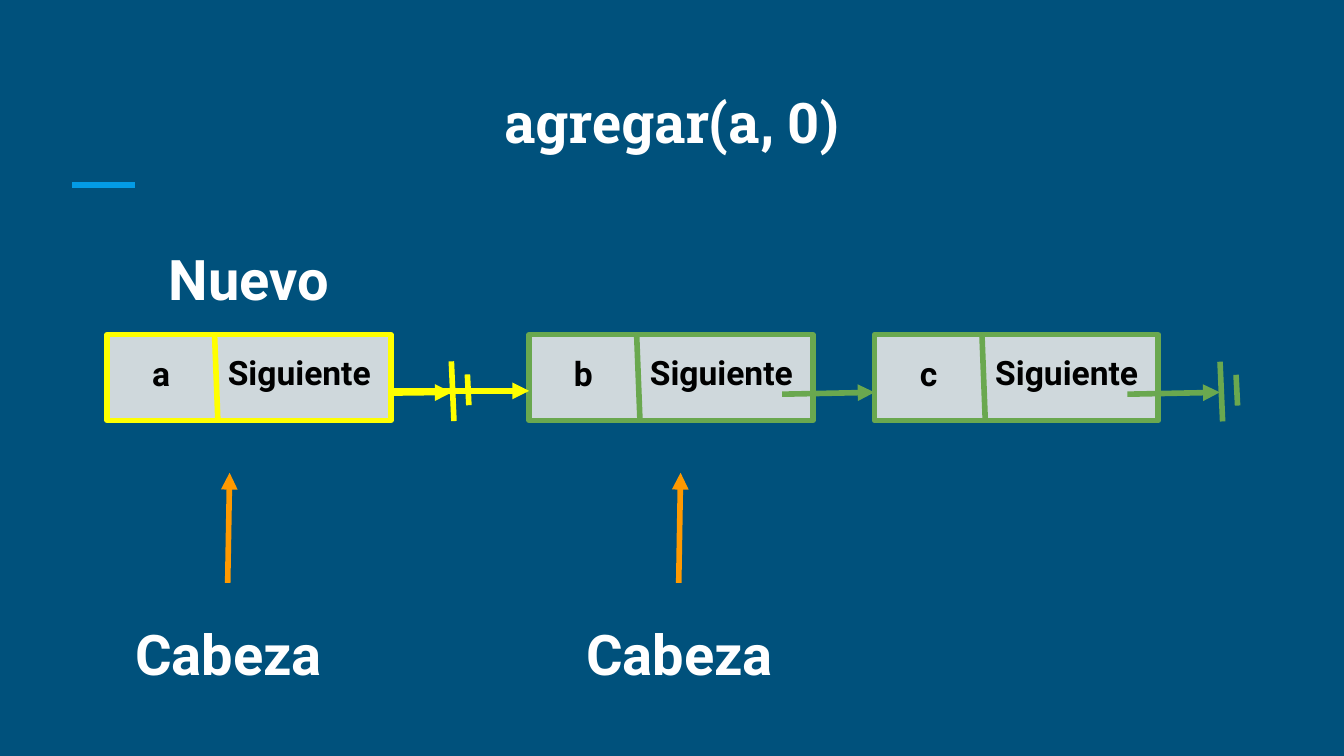
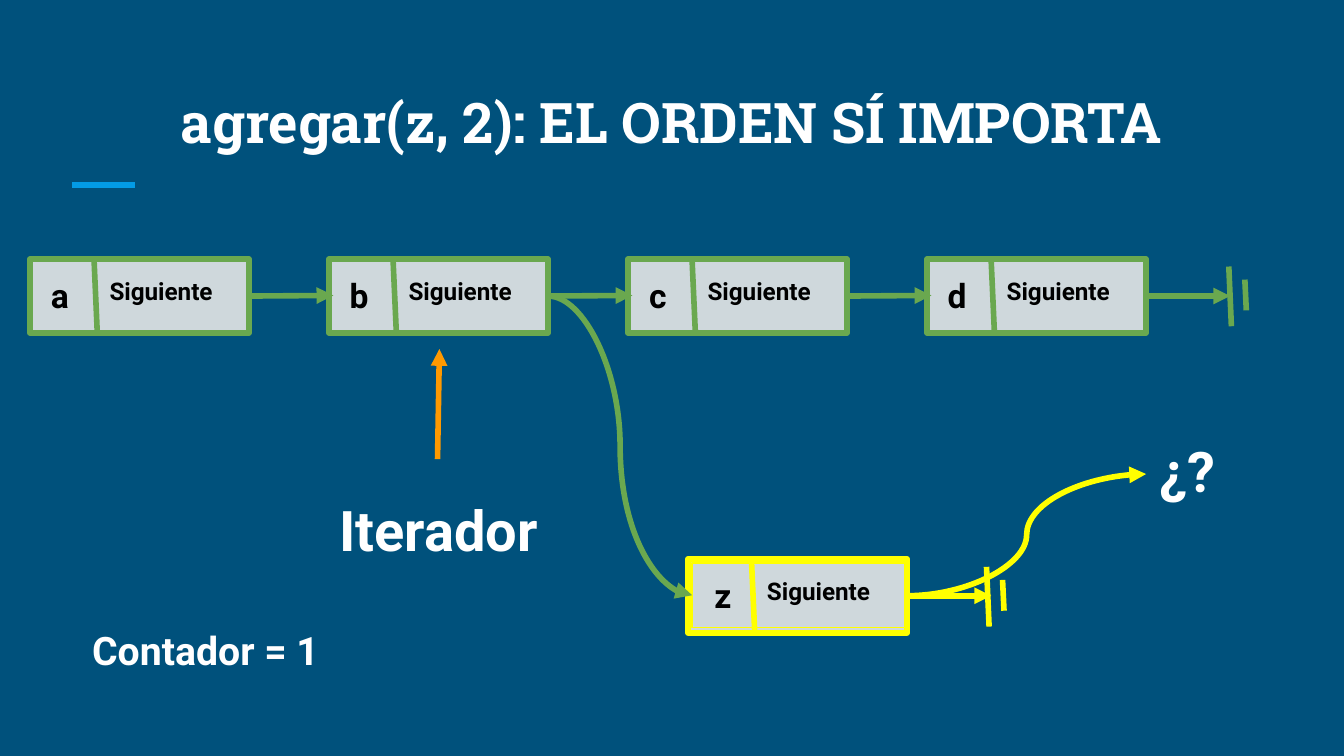
"""Build two slides on inserting nodes into a linked list."""
from dataclasses import dataclass
from typing import NamedTuple, Optional

from lxml import etree
from pptx import Presentation, util as u
from pptx.dml.color import RGBColor
from pptx.enum import shapes, text
from pptx.oxml.ns import qn

COLORS = {
    "background": "00517C",
    "accent": "039BE5",
    "white": "FFFFFF",
    "black": "000000",
    "node": "CFD8DC",
    "linked": "6AA84F",
    "new": "FFFF00",
    "pointer": "FF9900",
}
BODY, HEADING = "Roboto", "Roboto Slab"
WIDTH, HEIGHT = 720, 405
LINE_WIDTH = 3
LEFT, RIGHT = 1, 3
STRAIGHT = shapes.MSO_CONNECTOR.STRAIGHT
CURVE = shapes.MSO_CONNECTOR.CURVE
TOP, MIDDLE, BOTTOM = (text.MSO_ANCHOR.TOP, text.MSO_ANCHOR.MIDDLE,
                       text.MSO_ANCHOR.BOTTOM)
ALIGN_LEFT, CENTER = text.PP_ALIGN.LEFT, text.PP_ALIGN.CENTER


class Box(NamedTuple):
    x: float
    y: float
    w: float
    h: float


class Point(NamedTuple):
    x: float
    y: float


@dataclass(frozen=True)
class NodeStyle:
    w: float
    h: float
    value: Box
    following: Box
    divider: float
    following_size: float
    anchor: text.MSO_ANCHOR


@dataclass(frozen=True)
class Node:
    value: str
    x: float
    y: float
    color: str = "linked"
    framed: bool = False


LARGE = NodeStyle(152, 46, Box(0, 2.5, 58, 40), Box(57.6, 2.2, 93.6, 40),
                  57.6, 18, TOP)
SMALL = NodeStyle(117.4, 39.6, Box(2.4, 2.2, 27.4, 34.6),
                  Box(35.6, 2.2, 82, 34.6), 34.4, 13, MIDDLE)
SMALL_NEW = NodeStyle(117.4, 39.6, Box(2.2, 2.2, 33, 34.6),
                      Box(35.2, 2.2, 82, 34.6), 34, 13, MIDDLE)


def rgb(name: str) -> RGBColor:
    return RGBColor.from_string(COLORS[name])


def add_rect(s, box: Box):
    sp = s.shapes.add_shape(shapes.MSO_SHAPE.RECTANGLE, *map(u.Pt, box))
    sp.shadow.inherit = False
    return sp


def add_text(s, words: str, box: Box, size: float, color: str = "white",
             font: str = BODY, align=CENTER, anchor=TOP,
             frame: Optional[str] = None):
    if frame:
        sp = add_rect(s, box)
        sp.fill.background()
        sp.line.color.rgb = rgb(frame)
        sp.line.width = u.Pt(0.75)
    else:
        sp = s.shapes.add_textbox(*map(u.Pt, box))
    tf = sp.text_frame
    tf.word_wrap = True
    tf.vertical_anchor = anchor
    tf.margin_left = tf.margin_right = u.Pt(7.2)
    tf.margin_top = tf.margin_bottom = u.Pt(7.2)
    p = tf.paragraphs[0]
    p.text = words
    p.alignment = align
    p.font.name = font
    p.font.size = u.Pt(size)
    p.font.bold = True
    p.font.color.rgb = rgb(color)
    return sp


def add_line(s, start: Point, end: Point, color: str, arrow: bool = False,
             kind=STRAIGHT):
    c = s.shapes.add_connector(kind, *map(u.Pt, (*start, *end)))
    c.line.color.rgb = rgb(color)
    c.line.width = u.Pt(LINE_WIDTH)
    if arrow:
        etree.SubElement(c.line._get_or_add_ln(), qn("a:tailEnd"),
                         type="triangle")
    etree.SubElement(c._element.spPr, qn("a:effectLst"))
    return c


def add_link(s, source, color: str, target=None, end: Point = Point(0, 0),
             kind=STRAIGHT) -> None:
    c = add_line(s, Point(0, 0), end, color, True, kind)
    c.begin_connect(source, RIGHT)
    if target is not None:
        c.end_connect(target, LEFT)


def add_node(s, node: Node, style: NodeStyle) -> tuple:
    body = add_rect(s, Box(node.x, node.y, style.w, style.h))
    body.fill.solid()
    body.fill.fore_color.rgb = rgb("node")
    body.line.color.rgb = rgb(node.color)
    body.line.width = u.Pt(LINE_WIDTH)
    frame = node.color if node.framed else None

    def placed(cell: Box) -> Box:
        return cell._replace(x=node.x + cell.x, y=node.y + cell.y)

    value = add_text(s, node.value, placed(style.value), 18, "black",
                     anchor=style.anchor, frame=frame)
    add_text(s, "Siguiente", placed(style.following), style.following_size,
             "black", align=ALIGN_LEFT, frame=frame)
    x = node.x + style.divider
    add_line(s, Point(x, node.y + 0.8),
             Point(x + 1.7, node.y + style.h - 1), node.color)
    return body, value


def add_null(s, x: float, y: float, color: str) -> None:
    add_line(s, Point(x, y), Point(x + 1.4, y + 32), color)
    add_line(s, Point(x + 8.6, y + 7), Point(x + 9.4, y + 23.5), color)


def add_pointer(s, label: str, x: float, y: float) -> None:
    add_line(s, Point(x, y), Point(x + 1, y - 59), "pointer", True)
    add_text(s, label, Box(x - 64.5, y + 12.2, 130, 41), 30)


def add_slide(prs, title: str):
    s = prs.slides.add_slide(prs.slide_layouts[6])
    s.background.fill.solid()
    s.background.fill.fore_color.rgb = rgb("background")
    add_line(s, Point(38.6, 99.1), Point(72.3, 99.1), "accent")
    add_text(s, title, Box(30.5, 36, 659, 54), 30, font=HEADING,
             anchor=BOTTOM)
    return s


def insert_at_head(prs) -> None:
    s = add_slide(prs, "agregar(a, 0)")
    top = 179.3
    for value, x in (("b", 283.5), ("c", 468.5)):
        add_node(s, Node(value, x, top), LARGE)
        add_line(s, Point(x + 135.5, 211.2), Point(x + 185, 210.2),
                 "linked", True)
    add_null(s, 653.6, 193.8, "linked")
    add_line(s, Point(193, 210.8), Point(242, 210.2), "new", True)
    for x in (363.6, 122):
        add_pointer(s, "Cabeza", x, 312.3)
    add_line(s, Point(192, 209.4), Point(283.5, 209.4), "new", True)
    add_node(s, Node("a", 57.4, top, "new"), LARGE)
    add_text(s, "Nuevo", Box(57.4, 123.8, 152, 41), 30)
    add_null(s, 241.8, 193.6, "new")


def insert_in_middle(prs) -> None:
    s = add_slide(prs, "agregar(z, 2): EL ORDEN SÍ IMPORTA")
    nodes = [add_node(s, Node(value, 16 + 160.2 * i, 138.8), SMALL)
             for i, value in enumerate("abcd")]
    for (body, _), (_, value) in zip(nodes, nodes[1:]):
        add_link(s, body, "linked", value)
    add_link(s, nodes[-1][0], "linked", end=Point(659, 158.6))
    add_null(s, 658.3, 142.8, "linked")
    new_body, new_value = add_node(
        s, Node("z", 368.6, 299.4, "new", True), SMALL_NEW)
    add_link(s, new_body, "new", end=Point(531, 319.2))
    add_null(s, 528.5, 303.7, "new")
    add_text(s, "Contador = 1", Box(30.2, 328.3, 160, 41), 21)
    add_pointer(s, "Iterador", 234.4, 246)
    add_link(s, nodes[1][0], "linked", new_value, kind=CURVE)
    add_link(s, new_body, "new", end=Point(614, 254), kind=CURVE)
    add_text(s, "¿?", Box(571, 226.8, 130, 41), 30)


def main() -> None:
    prs = Presentation()
    prs.slide_width, prs.slide_height = u.Pt(WIDTH), u.Pt(HEIGHT)
    insert_at_head(prs)
    insert_in_middle(prs)
    prs.save("out.pptx")


if __name__ == "__main__":
    main()
